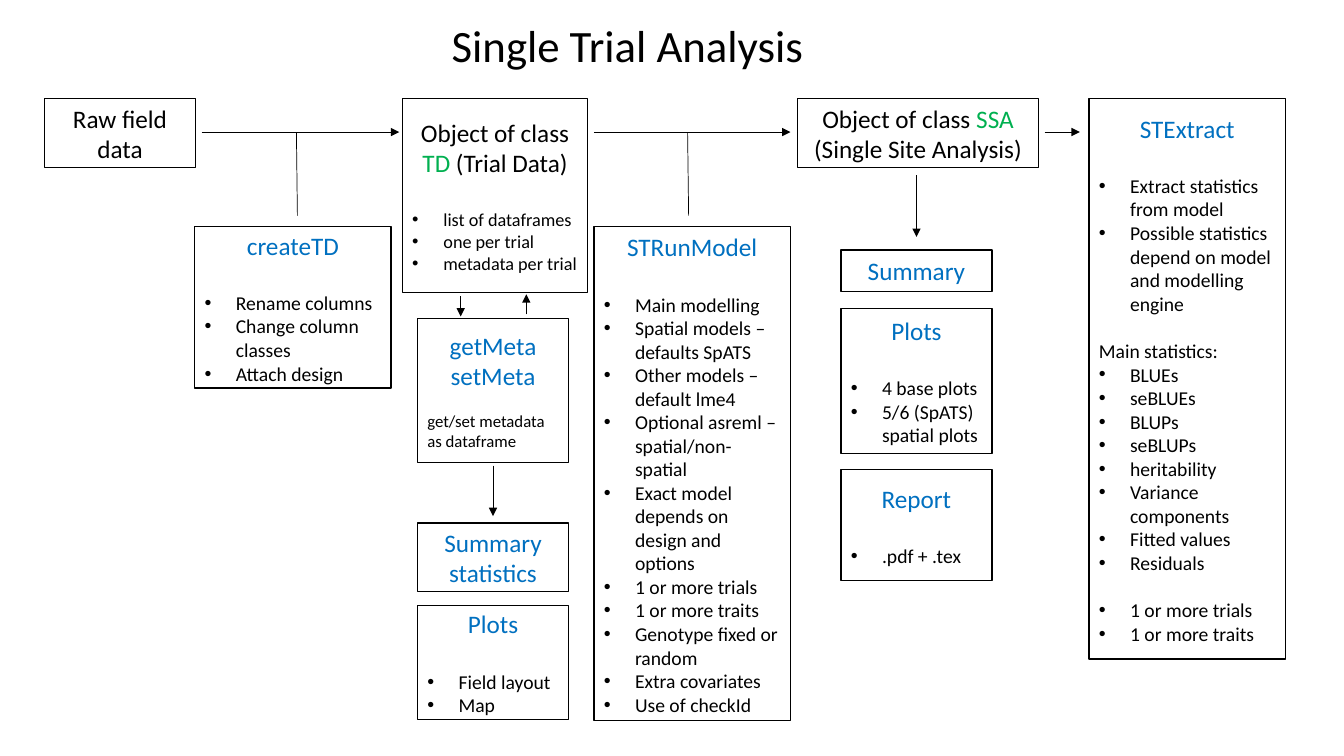
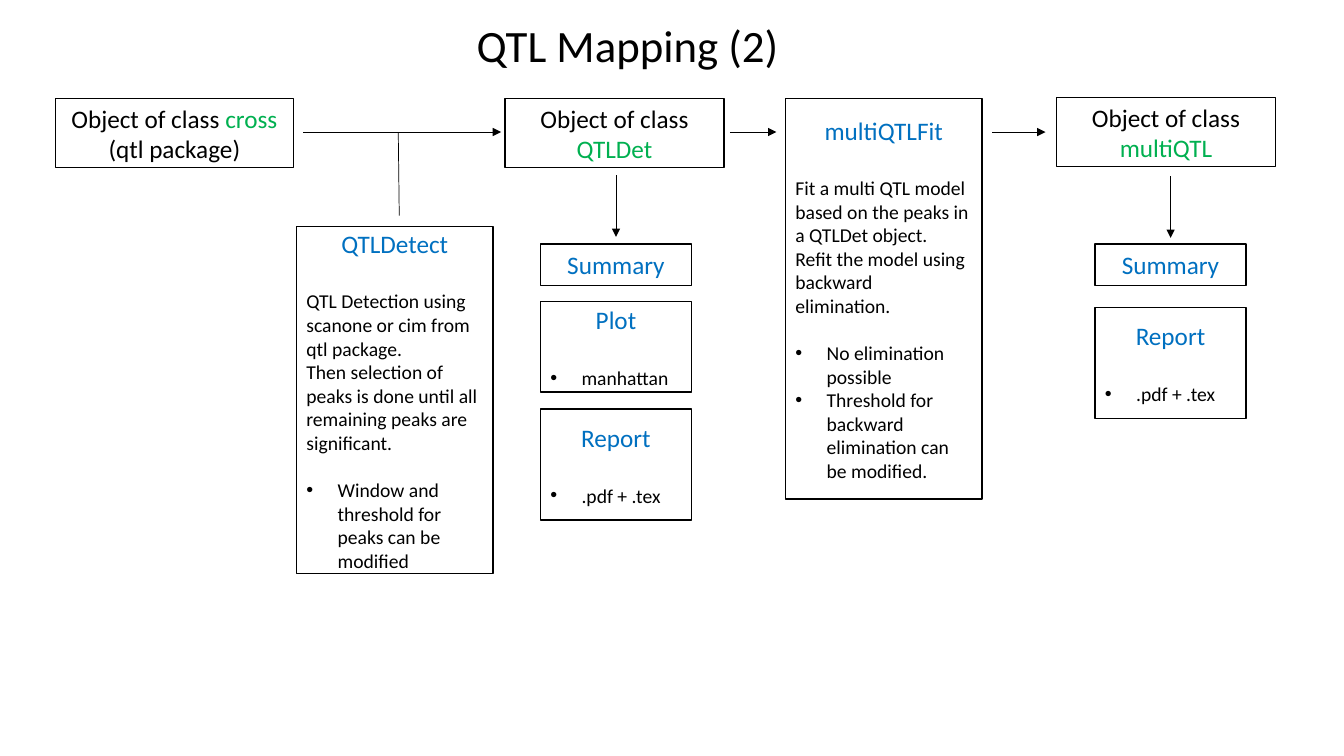
from lxml import etree
from pptx import Presentation
from pptx.dml.color import RGBColor
from pptx.enum.shapes import MSO_CONNECTOR, MSO_SHAPE
from pptx.enum.text import MSO_ANCHOR, PP_ALIGN
from pptx.oxml.ns import qn
from pptx.util import Inches, Pt

RECTANGLE = MSO_SHAPE.RECTANGLE
STRAIGHT = MSO_CONNECTOR.STRAIGHT
TOP, MIDDLE = MSO_ANCHOR.TOP, MSO_ANCHOR.MIDDLE
LEFT, CENTER = PP_ALIGN.LEFT, PP_ALIGN.CENTER

FONT = "Calibri"
COLORS = {"text": "000000", "class": "00B050", "function": "0070C0", "fill": "FFFFFF"}
STYLES = {
    "class": (18, "text", CENTER, False),
    "function": (18, "function", CENTER, False),
    "bullet": (14, "text", LEFT, True),
    "small bullet": (13, "text", LEFT, True),
    "note": (14, "text", LEFT, False),
    "small note": (12, "text", LEFT, False),
}
INDENT = Inches(0.31)
GAP, SMALL_GAP, TINY_GAP = 22, 17, 14.6
ROW, FLOW = 0.98, 1.31
BRANCH_TOP, BRANCH_END = 2.25, 2.14
CLASS_HEIGHT, WIDE, NARROW = 0.68, 1.95, 1.5

SUMMARY = [("function", 0, ["Summary"])]
REPORT = [("function", 0, ["Report"]), ("bullet", GAP, [".pdf + .tex"])]
SCOPE = ["1 or more trials", "1 or more traits"]

SLIDES = [
    {
        "title": "Single Trial Analysis",
        "boxes": [
            ((0.44, ROW, NARROW, CLASS_HEIGHT), [("class", 0, ["Raw field data"])]),
            ((3.99, ROW, 1.84, 1.92), [
                ("class", 0, ["Object of class |TD| (Trial Data)"]),
                ("small bullet", GAP, ["list of dataframes", "one per trial ", "metadata per trial"]),
            ]),
            ((1.93, BRANCH_TOP, WIDE, 1.6), [
                ("function", 0, ["createTD"]),
                ("bullet", GAP, ["Rename columns", "Change column classes", "Attach design "]),
            ]),
            ((4.14, 3.16, NARROW, 1.43), [
                ("function", 0, ["getMeta", "setMeta"]),
                ("small note", TINY_GAP, ["get/set metadata as dataframe"]),
            ]),
            ((4.14, 5.19, NARROW, CLASS_HEIGHT), [("function", 0, ["Summary statistics"])]),
            ((4.14, 6.01, NARROW, 1.13), [
                ("function", 0, ["Plots"]),
                ("bullet", GAP, ["Field layout", "Map"]),
            ]),
            ((7.91, ROW, 2.39, CLASS_HEIGHT), [
                ("class", 0, ["Object of class |SSA| (Single Site Analysis)"]),
            ]),
            ((5.89, BRANCH_TOP, WIDE, 4.9), [
                ("function", 0, ["STRunModel"]),
                ("bullet", GAP, [
                    "Main modelling",
                    "Spatial models – defaults SpATS",
                    "Other models – default lme4",
                    "Optional asreml – spatial/non-spatial",
                    "Exact model depends on design and options",
                    *SCOPE,
                    "Genotype fixed or random",
                    "Extra covariates",
                    "Use of checkId",
                ]),
            ]),
            ((8.34, 2.48, NARROW, 0.41), SUMMARY),
            ((8.34, 3.06, NARROW, 1.44), [
                ("function", 0, ["Plots"]),
                ("bullet", GAP, ["4 base plots ", "5/6 (SpATS) spatial plots"]),
            ]),
            ((8.34, 4.66, NARROW, 1.1), REPORT),
            ((10.8, ROW, WIDE, 5.56), [
                ("function", 0, ["STExtract"]),
                ("bullet", GAP, [
                    "Extract statistics from model",
                    "Possible statistics depend on model and modelling engine",
                ]),
                ("note", SMALL_GAP, ["Main statistics:"]),
                ("bullet", 0, [
                    "BLUEs ", "seBLUEs", "BLUPs", "seBLUPs", "heritability",
                    "Variance components", "Fitted values", "Residuals",
                ]),
                ("bullet", SMALL_GAP, SCOPE),
            ]),
        ],
        "arrows": [
            (2, FLOW, 3.96, FLOW),
            (5.89, FLOW, 7.84, FLOW),
            (10.36, FLOW, 10.71, FLOW),
            (9.09, 1.74, 9.09, 2.35),
            (4.57, 2.94, 4.57, 3.14),
            (5.22, 3.12, 5.22, 2.92),
            (4.89, 4.62, 4.89, 5.12),
        ],
        "branches": [2.94, 6.82],
    },
    {
        "title": "QTL Mapping (2)",
        "boxes": [
            ((0.55, ROW, 2.36, CLASS_HEIGHT), [
                ("class", 0, ["Object of class |cross| (qtl package)"]),
            ]),
            ((5.01, ROW, 2.17, CLASS_HEIGHT), [("class", 0, ["Object of class |QTLDet"])]),
            ((2.94, BRANCH_TOP, WIDE, 3.44), [
                ("function", 0, ["QTLDetect"]),
                ("note", GAP, [
                    "QTL Detection using scanone or cim from qtl package. ",
                    "Then selection of peaks is done until all remaining peaks are significant.",
                ]),
                ("bullet", SMALL_GAP, ["Window and threshold for peaks can be modified"]),
            ]),
            ((7.79, ROW, WIDE, 3.97), [
                ("function", 0, ["multiQTLFit"]),
                ("note", GAP, [
                    "Fit a multi QTL model based on the peaks in a QTLDet object.",
                    "Refit the model using backward elimination.",
                ]),
                ("bullet", SMALL_GAP, [
                    "No elimination possible",
                    "Threshold for backward elimination can be modified.",
                ]),
            ]),
            ((10.48, 0.97, 2.17, CLASS_HEIGHT), [("class", 0, ["Object of class |multiQTL"])]),
            ((5.36, 2.42, NARROW, 0.41), SUMMARY),
            ((5.36, 2.99, NARROW, 0.9), [
                ("function", 0, ["Plot"]),
                ("bullet", GAP, ["manhattan"]),
            ]),
            ((5.36, 4.06, NARROW, 1.1), REPORT),
            ((10.86, 2.42, NARROW, 0.41), SUMMARY),
            ((10.86, 3.05, NARROW, 1.1), REPORT),
        ],
        "arrows": [
            (3.01, FLOW, 4.97, FLOW),
            (7.24, FLOW, 7.7, FLOW),
            (9.84, FLOW, 10.37, FLOW),
            (6.11, 1.74, 6.11, 2.35),
            (11.61, 1.75, 11.61, 2.36),
        ],
        "branches": [3.95],
    },
]


def add_span(para, text, size, color):
    span = para.add_run()
    span.text = text
    span.font.name = FONT
    span.font.size = Pt(size)
    span.font.color.rgb = RGBColor.from_string(COLORS[color])


def add_line(page, ends, arrow):
    line = page.shapes.add_connector(STRAIGHT, *[Inches(value) for value in ends])
    line.line.color.rgb = RGBColor.from_string(COLORS["text"])
    line.line.width = Pt(0.5)
    properties = line.element.spPr
    if arrow:
        etree.SubElement(properties.find(qn("a:ln")), qn("a:tailEnd"), type="triangle")
    etree.SubElement(properties, qn("a:effectLst"))


deck = Presentation()
deck.slide_width, deck.slide_height = Inches(13.33), Inches(7.5)

for content in SLIDES:
    page = deck.slides.add_slide(deck.slide_layouts[5])
    title = page.shapes.title
    title.left, title.top = Inches(1.3), Inches(0.13)
    title.width, title.height = Inches(9.85), Inches(0.64)
    title.text_frame.vertical_anchor = TOP
    title.text_frame.paragraphs[0].alignment = CENTER
    add_span(title.text_frame.paragraphs[0], content["title"], 32, "text")

    for place, sections in content["boxes"]:
        box = page.shapes.add_shape(RECTANGLE, *[Inches(value) for value in place])
        box.shadow.inherit = False
        box.fill.solid()
        box.fill.fore_color.rgb = RGBColor.from_string(COLORS["fill"])
        box.line.color.rgb = RGBColor.from_string(COLORS["text"])
        box.line.width = Pt(1)
        frame = box.text_frame
        frame.word_wrap = True
        frame.vertical_anchor = MIDDLE
        para = frame.paragraphs[0]
        for kind, gap, lines in sections:
            size, color, alignment, bulleted = STYLES[kind]
            for number, line in enumerate(lines):
                if para.runs:
                    para = frame.add_paragraph()
                para.alignment = alignment
                para.space_before = Pt(0 if number else gap)
                if bulleted:
                    layout = para._p.get_or_add_pPr()
                    layout.set("marL", str(INDENT))
                    layout.set("indent", str(-INDENT))
                    etree.SubElement(layout, qn("a:buFont"), typeface="Arial")
                    etree.SubElement(layout, qn("a:buChar"), char="•")
                for index, part in enumerate(line.split("|")):
                    add_span(para, part, size, "class" if index % 2 else color)

    for ends in content["arrows"]:
        add_line(page, ends, True)
    for left in content["branches"]:
        add_line(page, (left, FLOW, left + 0.01, BRANCH_END), False)

deck.save("out.pptx")
